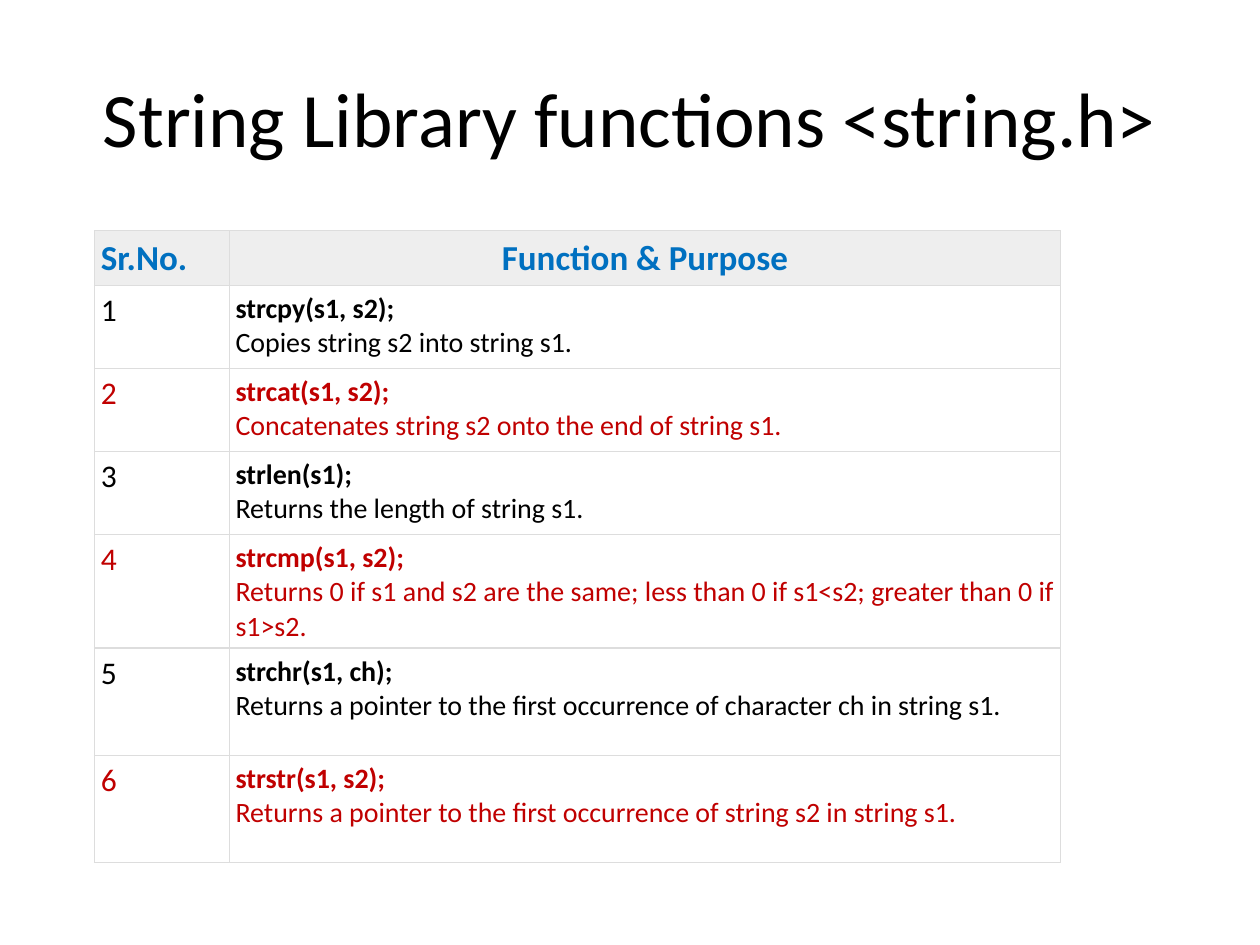
from pptx import Presentation
from pptx.dml.color import RGBColor
from pptx.enum.text import MSO_ANCHOR, PP_ALIGN
from pptx.oxml import parse_xml
from pptx.oxml.ns import nsdecls
from pptx.util import Inches, Pt

LEFT, CENTER, JUSTIFY = PP_ALIGN.LEFT, PP_ALIGN.CENTER, PP_ALIGN.JUSTIFY
MIDDLE = MSO_ANCHOR.MIDDLE
BLACK = RGBColor(0x00, 0x00, 0x00)
RED = RGBColor(0xC0, 0x00, 0x00)
BLUE = RGBColor(0x00, 0x70, 0xC0)
HEADER_FILL = RGBColor(0xEE, 0xEE, 0xEE)
BORDER = RGBColor(0xDD, 0xDD, 0xDD)

COLUMN_WIDTHS = [1.07, 6.6]
ROW_HEIGHTS = [0.29] + [0.66] * 3 + [0.85] * 3
FUNCTIONS = [
    ("strcpy(s1, s2);", "Copies string s2 into string s1."),
    ("strcat(s1, s2);", "Concatenates string s2 onto the end of string s1."),
    ("strlen(s1);", "Returns the length of string s1."),
    ("strcmp(s1, s2);", "Returns 0 if s1 and s2 are the same; less than 0 if s1<s2; greater than 0 if s1>s2."),
    ("strchr(s1, ch);", "Returns a pointer to the first occurrence of character ch in string s1."),
    ("strstr(s1, s2);", "Returns a pointer to the first occurrence of string s2 in string s1."),
]


class SlideBuilder:
    """Hold the text style and the current slide, and add elements to it."""

    font_name = "Calibri"
    cell_margin = Inches(0.05)
    border_width = Pt(0.75)

    def __init__(self, slide):
        self.slide = slide

    def set_text(self, paragraph, text, size, color, bold=False, align=LEFT):
        paragraph.text = text
        paragraph.alignment = align
        font = paragraph.font
        font.name, font.size, font.bold = self.font_name, Pt(size), bold
        font.color.rgb = color

    def title(self, text, left, top, width, height):
        shape = self.slide.shapes.add_textbox(Inches(left), Inches(top), Inches(width), Inches(height))
        frame = shape.text_frame
        frame.word_wrap = True
        frame.vertical_anchor = MIDDLE
        self.set_text(frame.paragraphs[0], text, 44, BLACK, align=CENTER)

    def table(self, left, top, column_widths, row_heights):
        shape = self.slide.shapes.add_table(
            len(row_heights), len(column_widths), Inches(left), Inches(top),
            Inches(sum(column_widths)), Inches(sum(row_heights)))
        table = shape.table
        table.first_row = table.horz_banding = False
        for column, width in zip(table.columns, column_widths):
            column.width = Inches(width)
        for row, height in zip(table.rows, row_heights):
            row.height = Inches(height)
        return table

    def cell(self, cell, lines, size, color, bold_first=False, align=LEFT, fill=None):
        cell.margin_left = cell.margin_right = self.cell_margin
        cell.margin_top = cell.margin_bottom = self.cell_margin
        frame = cell.text_frame
        for index, line in enumerate(lines):
            paragraph = frame.add_paragraph() if index else frame.paragraphs[0]
            self.set_text(paragraph, line, size, color, bold_first and index == 0, align)
        self.borders(cell)
        if fill is None:
            cell.fill.background()
        else:
            cell.fill.solid()
            cell.fill.fore_color.rgb = fill

    def borders(self, cell):
        properties = cell._tc.get_or_add_tcPr()
        for side in ("lnL", "lnR", "lnT", "lnB"):
            properties.append(parse_xml(
                f'<a:{side} {nsdecls("a")} w="{self.border_width}"><a:solidFill>'
                f'<a:srgbClr val="{BORDER}"/></a:solidFill></a:{side}>'))


def main():
    presentation = Presentation()
    presentation.slide_width, presentation.slide_height = Inches(10), Inches(7.5)
    builder = SlideBuilder(presentation.slides.add_slide(presentation.slide_layouts[6]))
    builder.title("String Library functions <string.h>", 0.5, 0.3, 9, 1.25)

    table = builder.table(0.75, 1.83, COLUMN_WIDTHS, ROW_HEIGHTS)
    for column, (heading, align) in enumerate([("Sr.No.", LEFT), ("Function & Purpose", CENTER)]):
        builder.cell(table.cell(0, column), [heading], 20, BLUE, True, align, HEADER_FILL)
    for number, lines in enumerate(FUNCTIONS, start=1):
        color = BLACK if number % 2 else RED
        builder.cell(table.cell(number, 0), [str(number)], 18, color)
        builder.cell(table.cell(number, 1), lines, 16, color, True, JUSTIFY)

    presentation.save("out.pptx")


if __name__ == "__main__":
    main()
